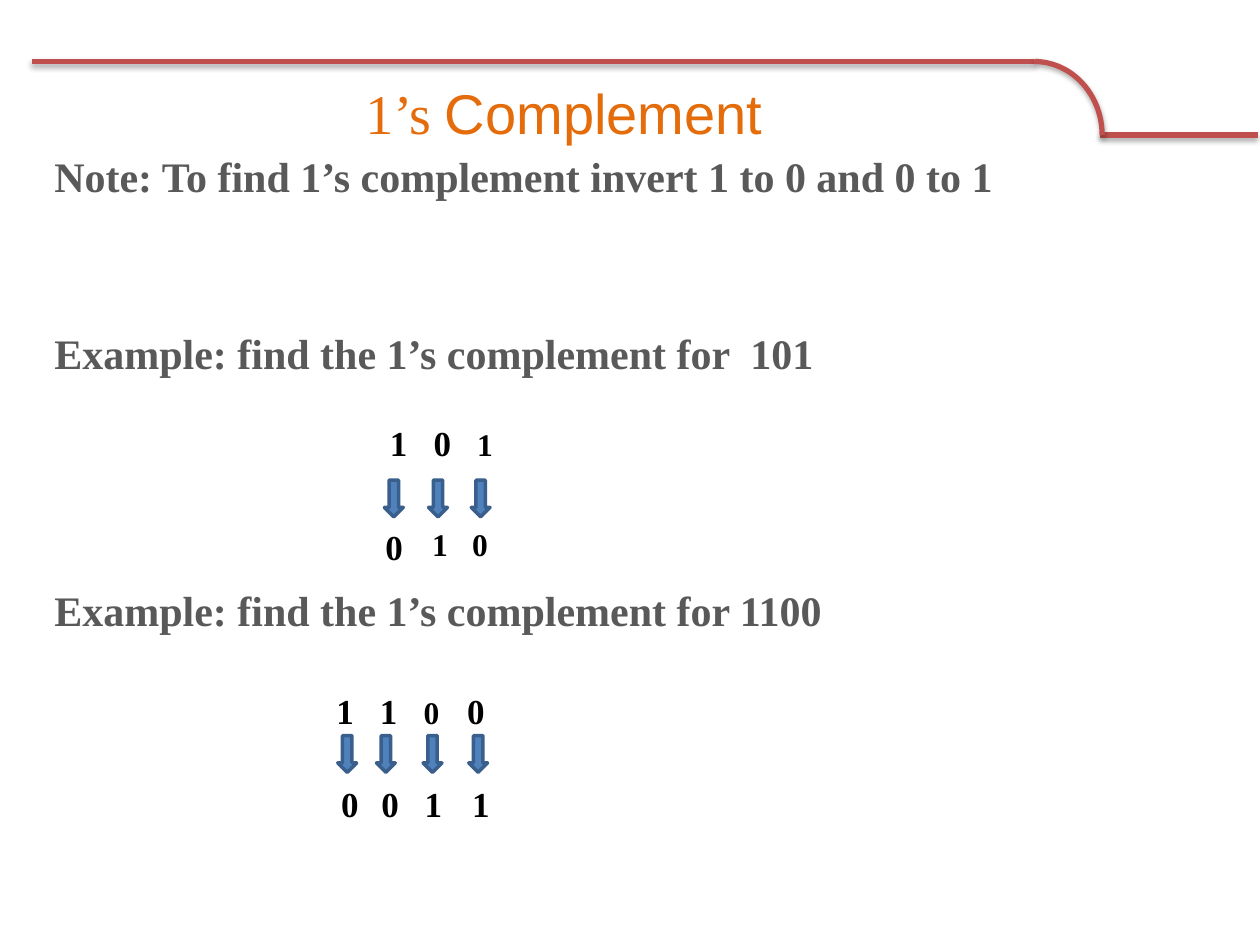
from dataclasses import dataclass

from lxml.etree import SubElement
from pptx import Presentation
from pptx.dml.color import RGBColor
from pptx.enum.shapes import MSO_CONNECTOR, MSO_SHAPE
from pptx.enum.text import MSO_ANCHOR, MSO_AUTO_SIZE, PP_ALIGN
from pptx.oxml import parse_xml
from pptx.oxml.ns import nsdecls, qn
from pptx.util import Cm, Pt


@dataclass(frozen=True)
class Theme:
    frame: str = "C0504D"
    title: str = "E46C0A"
    body: str = "595959"
    digit: str = "000000"
    arrow: str = "4F81BD"
    arrow_edge: str = "3A5F8C"
    serif: str = "Times New Roman"
    sans: str = "Arial"
    title_size: int = 32
    body_size: int = 24
    digit_size: int = 20
    small_digit: int = 18


THEME = Theme()
DIGIT_PITCH = 0.88

SHADOW = (
    f'<a:effectLst {nsdecls("a")}>'
    '<a:outerShdw blurRad="39370" dist="22860" dir="5400000" rotWithShape="0">'
    '<a:srgbClr val="000000"><a:alpha val="35000"/></a:srgbClr>'
    '</a:outerShdw></a:effectLst>'
)


def rgb(value):
    return RGBColor.from_string(value)


def add_text(p, text, size=THEME.digit_size, color=THEME.digit,
             font=THEME.serif, bold=True):
    r = p.add_run()
    r.text = text
    r.font.size = Pt(size)
    r.font.name = font
    r.font.bold = bold
    r.font.color.rgb = rgb(color)


def place(sp, left, top, width, height):
    sp.left, sp.top, sp.width, sp.height = map(Cm, (left, top, width, height))


def style_frame_line(sp):
    sp.line.color.rgb = rgb(THEME.frame)
    sp.line.width = Pt(3)
    sp._element.spPr.append(parse_xml(SHADOW))


def add_frame(s):
    """Rule along the top that steps down through a quarter arc."""
    for x1, x2, y in ((22.17, 25.35, 2.72), (0.64, 20.85, 1.24)):
        style_frame_line(s.shapes.add_connector(
            MSO_CONNECTOR.STRAIGHT, Cm(x1), Cm(y), Cm(x2), Cm(y)))
    arc = s.shapes.add_shape(
        MSO_SHAPE.ARC, Cm(19.48), Cm(1.24), Cm(2.74), Cm(2.97))
    arc.fill.background()
    style_frame_line(arc)


def fill_title(sp):
    place(sp, 1.27, 1.35, 20.52, 1.83)
    tf = sp.text_frame
    tf.auto_size = MSO_AUTO_SIZE.NONE
    tf.vertical_anchor = MSO_ANCHOR.MIDDLE
    p = tf.paragraphs[0]
    p.alignment = PP_ALIGN.CENTER
    for text, font in (("1’s ", THEME.serif), ("Complement ", THEME.sans)):
        add_text(p, text, THEME.title_size, THEME.title, font, bold=False)


def fill_body(sp, lines):
    """Write unbulleted paragraphs, given as (text, points before)."""
    place(sp, 0.84, 2.9, 23.7, 14.66)
    tf = sp.text_frame
    tf.auto_size = MSO_AUTO_SIZE.NONE
    for i, (text, before) in enumerate(lines):
        p = tf.add_paragraph() if i else tf.paragraphs[0]
        p.space_before = Pt(before)
        pPr = p._p.get_or_add_pPr()
        pPr.set("marL", "0")
        pPr.set("indent", "0")
        SubElement(pPr, qn("a:buNone"))
        add_text(p, text, THEME.body_size, THEME.body)


def add_box(s, left, top, width):
    box = s.shapes.add_textbox(Cm(left), Cm(top), Cm(width), Cm(1.11))
    box.text_frame.word_wrap = True
    return box.text_frame


def add_number(s, left, top, width, inset, digits):
    """One row of (digit, size) pairs, spaced by tab stops."""
    tf = add_box(s, left, top, width)
    tf.margin_left = Cm(inset)
    p = tf.paragraphs[0]
    tabs = SubElement(p._p.get_or_add_pPr(), qn("a:tabLst"))
    for i, (digit, size) in enumerate(digits):
        if i:
            SubElement(tabs, qn("a:tab"), pos=str(Cm(i * DIGIT_PITCH)), algn="l")
            add_text(p, "\t")
        add_text(p, digit, size)


def add_arrow(s, left, top):
    sp = s.shapes.add_shape(
        MSO_SHAPE.DOWN_ARROW, Cm(left), Cm(top), Cm(0.38), Cm(0.74))
    sp.shadow.inherit = False
    sp.fill.solid()
    sp.fill.fore_color.rgb = rgb(THEME.arrow)
    sp.line.color.rgb = rgb(THEME.arrow_edge)
    sp.line.width = Pt(2)


def add_inversion(s, arrow_top, result_top, columns):
    """Arrows with inverted digits: (arrow x, digit x, digit, size)."""
    for arrow_x, digit_x, digit, size in columns:
        add_arrow(s, arrow_x, arrow_top)
        tf = add_box(s, digit_x, result_top, 0.84)
        add_text(tf.paragraphs[0], digit, size)


def main():
    prs = Presentation()
    prs.slide_width, prs.slide_height = Cm(25.4), Cm(19.05)
    s = prs.slides.add_slide(prs.slide_layouts[1])
    big, small = THEME.digit_size, THEME.small_digit

    add_frame(s)
    fill_title(s.shapes.title)
    fill_body(s.placeholders[1], (
        ("Note: To find 1’s complement invert 1 to 0 and 0 to 1", 4.8),
        ("Example: find the 1’s complement for  101", 72.4),
        ("Example: find the 1’s complement for 1100", 118),
    ))

    add_number(s, 5.99, 8.38, 6.05, 1.87,
               (("1", big), ("0", big), ("1", small)))
    add_inversion(s, 9.68, 10.46, (
        (7.75, 7.52, "0", big),
        (8.64, 8.46, "1", small),
        (9.5, 9.27, "0", small),
    ))

    add_number(s, 5.26, 13.77, 6.65, 1.52,
               (("1", big), ("1", big), ("0", small), ("0", big)))
    add_inversion(s, 14.83, 15.65, (
        (6.81, 6.63, "0", big),
        (7.59, 7.44, "0", big),
        (8.53, 8.31, "1", big),
        (9.45, 9.27, "1", big),
    ))
    prs.save("out.pptx")


if __name__ == "__main__":
    main()
